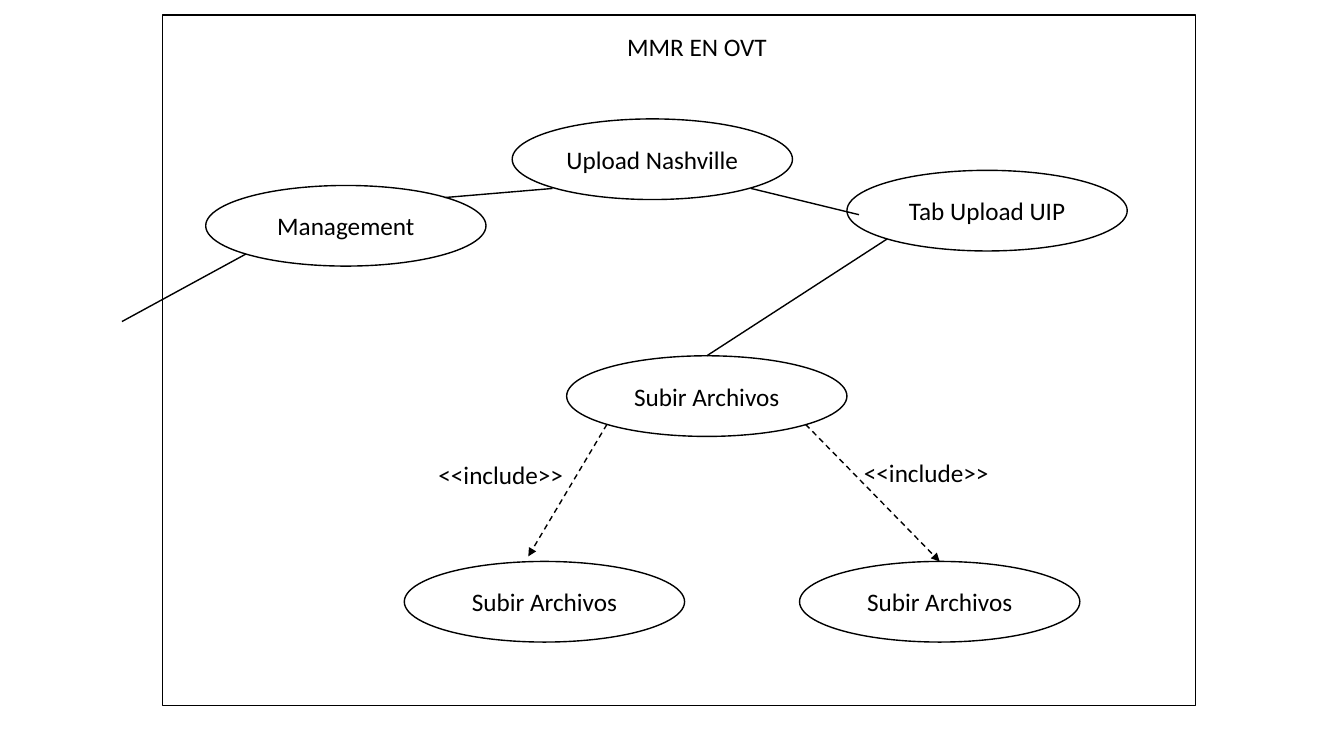
from pptx import Presentation
from pptx.dml.color import RGBColor
from pptx.enum.dml import MSO_LINE
from pptx.enum.shapes import MSO_CONNECTOR, MSO_SHAPE
from pptx.enum.text import MSO_ANCHOR, MSO_AUTO_SIZE, PP_ALIGN
from pptx.oxml.ns import qn
from pptx.util import Inches, Pt
from lxml.etree import SubElement

BLACK = RGBColor(0, 0, 0)
WHITE = RGBColor(255, 255, 255)
TEXT_FORMAT = {"name": "Calibri", "size": Pt(18)}
LABEL_FRAME = {
    "word_wrap": True,
    "auto_size": MSO_AUTO_SIZE.SHAPE_TO_FIT_TEXT,
    "vertical_anchor": MSO_ANCHOR.TOP,
}
LABEL_WIDTH, LABEL_HEIGHT = 1.97, 0.4
CASE_WIDTH, CASE_HEIGHT = 2.78, 0.8

presentation = Presentation()
presentation.slide_width = Inches(13.33)
presentation.slide_height = Inches(7.5)
slide = presentation.slides.add_slide(presentation.slide_layouts[5])


def add_outlined(kind, left, top, width, height):
    shape = slide.shapes.add_shape(
        kind, Inches(left), Inches(top), Inches(width), Inches(height))
    shape.shadow.inherit = False
    shape.fill.solid()
    shape.fill.fore_color.rgb = WHITE
    shape.line.color.rgb = BLACK
    shape.line.width = Pt(1)
    return shape


def write_text(shape, text, alignment):
    paragraph = shape.text_frame.paragraphs[0]
    paragraph.alignment = alignment
    run = paragraph.add_run()
    run.text = text
    for name, value in TEXT_FORMAT.items():
        setattr(run.font, name, value)
    run.font.color.rgb = BLACK


system_boundary = add_outlined(MSO_SHAPE.RECTANGLE, 1.61, 0.15, 10.25, 6.85)
title = slide.shapes.title
title.element.addprevious(system_boundary.element)

use_cases = [
    ("Management", 2.04, 1.84),
    ("Upload Nashville", 5.08, 1.18),
    ("Tab Upload UIP", 8.4, 1.69),
    ("Subir Archivos", 5.62, 3.53),
    ("Subir Archivos", 4.01, 5.57),
    ("Subir Archivos", 7.93, 5.57),
]
for text, left, top in use_cases:
    use_case = add_outlined(MSO_SHAPE.OVAL, left, top, CASE_WIDTH, CASE_HEIGHT)
    use_case.text_frame.vertical_anchor = MSO_ANCHOR.MIDDLE
    write_text(use_case, text, PP_ALIGN.CENTER)

links = [
    (1.21, 3.19, 2.44, 2.52, False),
    (4.41, 1.96, 5.48, 1.87, False),
    (7.45, 1.87, 8.52, 2.13, False),
    (8.8, 2.37, 7.01, 3.53, False),
    (6.02, 4.21, 5.24, 5.52, True),
    (7.99, 4.21, 9.32, 5.57, True),
]
for *ends, is_include in links:
    connector = slide.shapes.add_connector(
        MSO_CONNECTOR.STRAIGHT, *[Inches(value) for value in ends])
    connector.line.color.rgb = BLACK
    connector.line.width = Pt(1)
    properties = connector.element.spPr
    if is_include:
        connector.line.dash_style = MSO_LINE.DASH
        SubElement(properties.find(qn("a:ln")), qn("a:tailEnd"), type="triangle")
    SubElement(properties, qn("a:effectLst"))

include_labels = [
    slide.shapes.add_textbox(0, 0, Inches(LABEL_WIDTH), Inches(LABEL_HEIGHT))
    for side in ("left", "right")
]
labels = [
    (title, "MMR EN OVT", 6.12, 0.26),
    (include_labels[0], "<<include>>", 4.25, 4.51),
    (include_labels[1], "<<include>>", 8.47, 4.49),
]
for label, text, left, top in labels:
    label.left, label.top = Inches(left), Inches(top)
    label.width, label.height = Inches(LABEL_WIDTH), Inches(LABEL_HEIGHT)
    for name, value in LABEL_FRAME.items():
        setattr(label.text_frame, name, value)
    write_text(label, text, PP_ALIGN.LEFT)

presentation.save("out.pptx")
